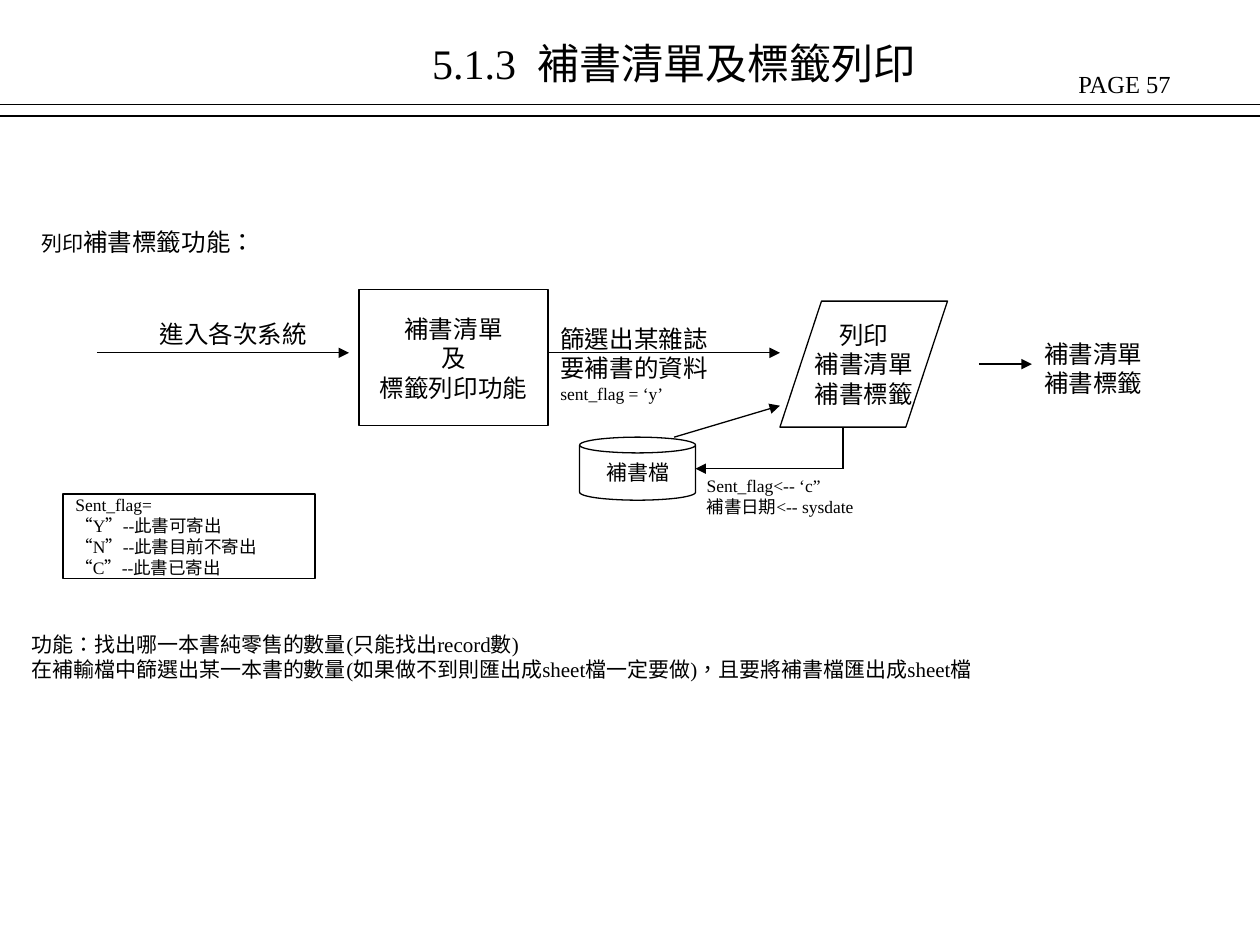
from dataclasses import dataclass

from lxml.etree import SubElement
from pptx import Presentation
from pptx.dml.color import RGBColor
from pptx.enum.lang import MSO_LANGUAGE_ID
from pptx.enum.shapes import MSO_CONNECTOR, MSO_SHAPE
from pptx.enum.text import MSO_ANCHOR, MSO_AUTO_SIZE, PP_ALIGN
from pptx.oxml.ns import qn
from pptx.slide import Slide
from pptx.text.text import TextFrame
from pptx.util import Inches, Pt

BLACK = RGBColor(0x00, 0x00, 0x00)
FONT = "Times New Roman"
LINE_WIDTH = Pt(0.75)

# The slide is a grid of 100 columns by 75 rows
COLUMNS, ROWS = 100, 75
SLIDE_WIDTH, SLIDE_HEIGHT = Inches(10), Inches(7.5)

Run = tuple[str, int]
Paragraphs = list[list[Run]]


@dataclass(frozen=True)
class Area:
    left: float
    top: float
    width: float
    height: float

    def emu(self) -> tuple[int, int, int, int]:
        return (column(self.left), row(self.top),
                column(self.width), row(self.height))


@dataclass(frozen=True)
class Label:
    area: Area
    paragraphs: Paragraphs
    wrap: bool = False


@dataclass(frozen=True)
class Step:
    preset: MSO_SHAPE
    area: Area
    paragraphs: Paragraphs
    align: PP_ALIGN = PP_ALIGN.CENTER
    adjustment: float | None = None


@dataclass(frozen=True)
class Flow:
    start: tuple[float, float]
    end: tuple[float, float]
    arrow: bool = True


def column(number: float) -> int:
    return round(SLIDE_WIDTH * number / COLUMNS)


def row(number: float) -> int:
    return round(SLIDE_HEIGHT * number / ROWS)


def lines(size: int, *texts: str) -> Paragraphs:
    return [[(text, size)] for text in texts]


def write(frame: TextFrame, paragraphs: Paragraphs, align: PP_ALIGN) -> None:
    for index, runs in enumerate(paragraphs):
        paragraph = frame.add_paragraph() if index else frame.paragraphs[0]
        paragraph.alignment = align
        for text, size in runs:
            run = paragraph.add_run()
            run.text = text
            run.font.name = FONT
            run.font.size = Pt(size)
            run.font.color.rgb = BLACK
            run.font.language_id = MSO_LANGUAGE_ID.TRADITIONAL_CHINESE


def draw_title(slide: Slide, area: Area, runs: list[Run]) -> None:
    title = slide.shapes.title
    title.left, title.top, title.width, title.height = area.emu()
    frame = title.text_frame
    frame.word_wrap = True
    frame.auto_size = MSO_AUTO_SIZE.NONE
    frame.vertical_anchor = MSO_ANCHOR.TOP
    write(frame, [runs], PP_ALIGN.LEFT)
    # Widen the gap after the section number
    frame.paragraphs[0].runs[1].font._element.set("spc", "600")


def draw_label(slide: Slide, label: Label) -> None:
    frame = slide.shapes.add_textbox(*label.area.emu()).text_frame
    frame.word_wrap = label.wrap
    frame.auto_size = MSO_AUTO_SIZE.SHAPE_TO_FIT_TEXT
    write(frame, label.paragraphs, PP_ALIGN.LEFT)


def draw_step(slide: Slide, step: Step) -> None:
    shape = slide.shapes.add_shape(step.preset, *step.area.emu())
    shape.shadow.inherit = False
    shape.fill.background()
    shape.line.color.rgb = BLACK
    shape.line.width = LINE_WIDTH
    if step.adjustment is not None:
        shape.adjustments[0] = step.adjustment
    frame = shape.text_frame
    frame.word_wrap = False
    frame.vertical_anchor = MSO_ANCHOR.MIDDLE
    write(frame, step.paragraphs, step.align)


def draw_flow(slide: Slide, flow: Flow) -> None:
    (x1, y1), (x2, y2) = flow.start, flow.end
    connector = slide.shapes.add_connector(
        MSO_CONNECTOR.STRAIGHT, column(x1), row(y1), column(x2), row(y2))
    connector.line.color.rgb = BLACK
    connector.line.width = LINE_WIDTH
    if flow.arrow:
        SubElement(connector.line._get_or_add_ln(), qn("a:tailEnd"),
                   type="triangle")
    SubElement(connector._element.spPr, qn("a:effectLst"))


TITLE_AREA = Area(33.3, 2.5, 42.5, 5)
TITLE_RUNS = [("5.1.3", 24), (" ", 24), ("補書清單及標籤列印", 24)]

STEPS = [
    Step(MSO_SHAPE.RECTANGLE, Area(28.5, 23, 15, 10.8),
         lines(14, "補書清單", "及", "標籤列印功能")),
    Step(MSO_SHAPE.PARALLELOGRAM, Area(61.9, 23.9, 13.3, 10),
         lines(14, "列印", "補書清單", "補書標籤"), adjustment=0.33),
    Step(MSO_SHAPE.CAN, Area(46, 34.7, 9.2, 5),
         lines(12, "補書檔"), adjustment=0.25),
    # Meaning of the flag values
    Step(MSO_SHAPE.RECTANGLE, Area(5, 39.2, 20, 6.7),
         lines(10, "Sent_flag=", "“Y”--此書可寄出",
               "“N”--此書目前不寄出", "“C”--此書已寄出"),
         PP_ALIGN.LEFT),
]

HEADER_RULES = [Flow((0, y), (COLUMNS, y), arrow=False) for y in (8.3, 9.2)]
FLOWS = HEADER_RULES + [
    Flow((7.7, 28), (27.7, 28)),
    Flow((43.5, 28), (61.9, 28)),
    Flow((77.7, 28.9), (81.9, 28.9)),
    Flow((53.5, 34.7), (61.9, 32.2)),
    # Write-back to the data file
    Flow((66.9, 33.9), (66.9, 37.2), arrow=False),
    Flow((66.9, 37.2), (55.2, 37.2)),
]

LABELS = [
    Label(Area(84.6, 5, 15.7, 3.4), lines(14, "PAGE 57")),
    Label(Area(2.3, 17.5, 19, 3.4), [[("列印", 12), ("補書標籤功能：", 14)]]),
    Label(Area(11.7, 24.8, 13.7, 3.4), lines(14, "進入各次系統")),
    Label(Area(43.5, 25.2, 13.7, 9),
          lines(14, "篩選出某雜誌", "要補書的資料")
          + lines(10, "sent_flag = ‘y’")),
    Label(Area(81.9, 26.4, 9.8, 5.7), lines(14, "補書清單", "補書標籤")),
    Label(Area(55.1, 37.2, 14, 4.4),
          lines(10, "Sent_flag<-- ‘c”", "補書日期<-- sysdate")),
    Label(Area(1.5, 49.6, 85.2, 5),
          lines(12, "功能：找出哪一本書純零售的數量(只能找出record數)",
                "在補輸檔中篩選出某一本書的數量(如果做不到則匯出成sheet檔一定要做)，"
                "且要將補書檔匯出成sheet檔"),
          wrap=True),
]


def main() -> None:
    deck = Presentation()
    deck.slide_width, deck.slide_height = SLIDE_WIDTH, SLIDE_HEIGHT
    slide = deck.slides.add_slide(deck.slide_layouts[5])
    draw_title(slide, TITLE_AREA, TITLE_RUNS)
    for step in STEPS:
        draw_step(slide, step)
    for flow in FLOWS:
        draw_flow(slide, flow)
    for label in LABELS:
        draw_label(slide, label)
    deck.save("out.pptx")


if __name__ == "__main__":
    main()
